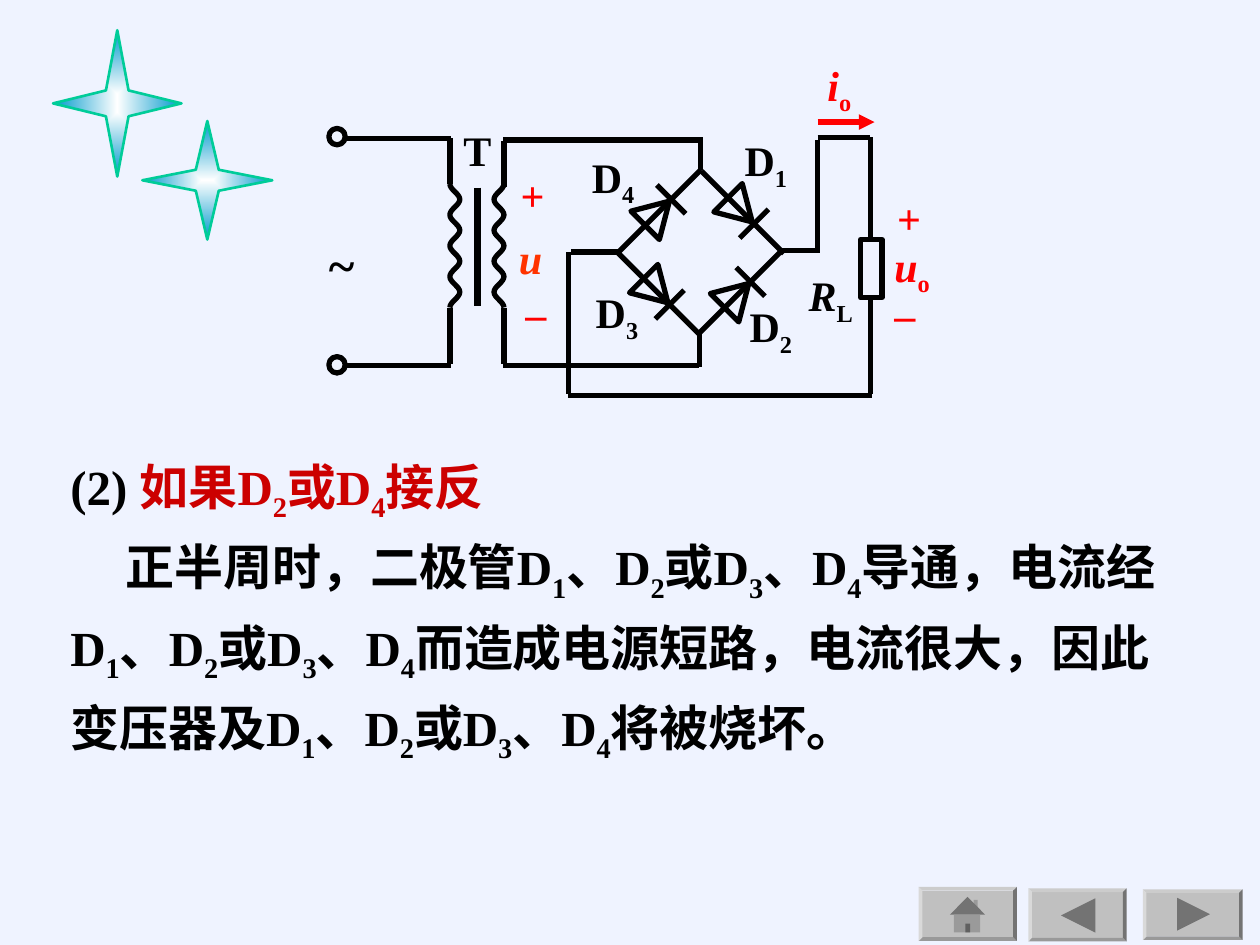
from dataclasses import dataclass
from math import cos, pi

from lxml.etree import SubElement
from pptx import Presentation
from pptx.dml.color import RGBColor
from pptx.enum.lang import MSO_LANGUAGE_ID as Language
from pptx.enum.shapes import MSO_CONNECTOR as Connector, MSO_SHAPE as Shape
from pptx.enum.text import MSO_ANCHOR as Anchor, MSO_AUTO_SIZE as AutoSize, PP_ALIGN as Align
from pptx.oxml.ns import qn
from pptx.util import Cm, Pt


@dataclass(frozen=True)
class Theme:
    font: str = "Times New Roman"
    body: int = 28
    label: int = 24
    wire: float = 3
    core: float = 4
    outline: float = 1.5
    black: str = "000000"
    red: str = "FF0000"
    orange: str = "FF3300"
    heading: str = "CC0000"
    tint: str = "3366FF"
    star: str = "0099CC"
    star_center: str = "FFFFFF"
    star_line: str = "00CC99"
    button: str = "C0C0C0"
    icon: str = "737373"
    icon_light: str = "9A9A9A"
    icon_dark: str = "606060"


theme = Theme()
presentation = Presentation()
presentation.slide_width, presentation.slide_height = Cm(25.4), Cm(19.05)
slide = presentation.slides.add_slide(presentation.slide_layouts[6])
shapes = slide.shapes


def write_text(paragraph, text, *, color=theme.black, size=theme.label, italic=False):
    """Append text; the character after each underscore is an upright subscript."""
    first, *others = text.split("_")
    pieces = [(first, False)]
    for part in others:
        pieces += [(part[0], True), (part[1:], False)]
    for piece, subscript in pieces:
        if not piece:
            continue
        run = paragraph.add_run()
        run.text = piece
        font = run.font
        font.name, font.size, font.bold = theme.font, Pt(size), True
        font.italic = italic and not subscript
        font.color.rgb = RGBColor.from_string(color)
        font.language_id = Language.SIMPLIFIED_CHINESE
        if subscript:
            run._r.get_or_add_rPr().set("baseline", "-25000")


def draw_shape(kind, left, top, width, height, fill=None, line=None, weight=theme.wire, rotation=0):
    shape = shapes.add_shape(kind, Cm(left), Cm(top), Cm(width), Cm(height))
    shape.shadow.inherit = False
    shape.rotation = rotation
    if fill:
        shape.fill.solid()
        shape.fill.fore_color.rgb = RGBColor.from_string(fill)
    else:
        shape.fill.background()
    if line:
        shape.line.color.rgb = RGBColor.from_string(line)
        shape.line.width = Pt(weight)
    else:
        shape.line.fill.background()
    return shape


# Pale background tint
tint = draw_shape(Shape.RECTANGLE, 0, 0, 25.4, 19.05, fill=theme.tint)
tint_color = tint.element.spPr.find(qn("a:solidFill"))[0]
SubElement(tint_color, qn("a:alpha")).set("val", "8000")

# Navigation buttons: home, back, next
for left, top, width, height in [
    (18.52, 17.88, 1.98, 1.09),
    (20.73, 17.91, 1.98, 1.07),
    (23.04, 17.93, 2.01, 1.02),
]:
    button = draw_shape(Shape.BEVEL, left, top, width, height, fill=theme.button)
    button.adjustments[0] = 0.07
for kind, left, top, width, height, color, rotation in [
    (Shape.RECTANGLE, 19.63, 18.14, 0.08, 0.25, theme.icon_light, 0),
    (Shape.ISOSCELES_TRIANGLE, 19.15, 18.08, 0.71, 0.36, theme.icon, 0),
    (Shape.RECTANGLE, 19.23, 18.44, 0.53, 0.36, theme.icon_light, 0),
    (Shape.RECTANGLE, 19.46, 18.62, 0.1, 0.18, theme.icon_dark, 0),
    (Shape.ISOSCELES_TRIANGLE, 21.39, 18.11, 0.69, 0.69, theme.icon, 270),
    (Shape.ISOSCELES_TRIANGLE, 23.73, 18.1, 0.66, 0.66, theme.icon, 90),
]:
    draw_shape(kind, left, top, width, height, fill=color, rotation=rotation)

# Explanation
box = shapes.add_textbox(Cm(1.17), Cm(8.81), Cm(22.91), Cm(6.73))
frame = box.text_frame
frame.word_wrap, frame.vertical_anchor = True, Anchor.MIDDLE
frame.auto_size = AutoSize.SHAPE_TO_FIT_TEXT
heading, body = frame.paragraphs[0], frame.add_paragraph()
heading.line_spacing = body.line_spacing = 1.2
write_text(heading, "(2) ", size=theme.body)
write_text(heading, "如果D_2或D_4接反", color=theme.heading, size=theme.body)
body._p.get_or_add_pPr().set("indent", str(Cm(1.11)))
pairs = "D_1、D_2或D_3、D_4"
write_text(
    body,
    f"正半周时，二极管{pairs}导通，电流经{pairs}而造成电源短路，"
    f"电流很大，因此变压器及{pairs}将被烧坏。",
    size=theme.body,
)

# Stars with a gradient from a white centre
for left, top, width, height in [(2.87, 2.44, 2.62, 2.39), (1.07, 0.61, 2.59, 2.95)]:
    star = draw_shape(Shape.STAR_4_POINT, left, top, width, height,
                      line=theme.star_line, weight=theme.outline)
    star.adjustments[0] = 0.125
    star.fill.gradient()
    for stop, color in zip(star.fill.gradient_stops, (theme.star_center, theme.star)):
        stop.color.rgb = RGBColor.from_string(color)
    gradient = star.element.spPr.find(qn("a:gradFill"))
    gradient.remove(gradient.find(qn("a:lin")))
    shade = SubElement(gradient, qn("a:path"))
    shade.set("path", "rect")
    focus = SubElement(shade, qn("a:fillToRect"))
    for side in "ltrb":
        focus.set(side, "50000")

# Transformer windings: four waves each, bulging towards the core
for left, bulge in [(9.07, 0.2), (10.16, -0.2)]:
    points = [
        (Cm(left + bulge * (1 - cos(8 * pi * step / 64)) / 2), Cm(3.71 + 2.49 * step / 64))
        for step in range(65)
    ]
    builder = shapes.build_freeform(*points[0])
    builder.add_line_segments(points[1:], close=False)
    winding = builder.convert_to_shape()
    winding.shadow.inherit = False
    winding.fill.background()
    winding.line.color.rgb = RGBColor.from_string(theme.black)
    winding.line.width = Pt(theme.wire)

# Terminals and load resistor
for top in (2.59, 7.19):
    draw_shape(Shape.OVAL, 6.63, top, 0.33, 0.33, line=theme.black)
draw_shape(Shape.RECTANGLE, 17.35, 4.83, 0.43, 1.17, line=theme.black)

# Wires: primary, secondary, then the load loop
wires = [
    (6.99, 2.79, 9.09, 2.79), (9.07, 2.79, 9.07, 3.71),
    (9.07, 6.2, 9.07, 7.34), (6.99, 7.37, 9.09, 7.37),
    (14.17, 2.82, 10.13, 2.82), (10.16, 2.84, 10.16, 3.76), (14.12, 3.43, 14.12, 2.87),
    (10.16, 6.2, 10.16, 7.34), (10.13, 7.37, 14.1, 7.37), (14.1, 6.73, 14.1, 7.39),
    (15.75, 5.05, 16.54, 5.05), (16.48, 5.03, 16.48, 2.82), (16.48, 2.77, 17.53, 2.77),
    (17.55, 2.77, 17.55, 4.78), (17.55, 5.99, 17.55, 7.95), (11.46, 7.98, 17.58, 7.98),
    (11.46, 5.08, 11.46, 7.95), (12.45, 5.08, 11.51, 5.08),
]

# Bridge diodes D1 to D4: centre of the branch, slope 1 falls and -1 rises
for x, y, slope in [(14.97, 4.28, 1), (14.9, 5.91, -1), (13.27, 5.91, 1), (13.3, 4.25, -1)]:
    draw_shape(Shape.ISOSCELES_TRIANGLE, x - 0.05 - 0.405, y - 0.05 * slope - 0.345, 0.81, 0.69,
               line=theme.black, rotation=90 + 45 * slope)
    bar_x, bar_y = x + 0.23, y + 0.23 * slope
    wires += [
        (x - 0.83, y - 0.83 * slope, x + 0.83, y + 0.83 * slope),
        (bar_x - 0.29, bar_y + 0.29 * slope, bar_x + 0.29, bar_y - 0.29 * slope),
    ]

# All straight lines, with the transformer core and the current arrow
lines = [(wire, theme.black, theme.wire, False) for wire in wires]
lines.append(((9.63, 3.78, 9.63, 6.17), theme.black, theme.core, False))
lines.append(((16.48, 2.46, 17.63, 2.46), theme.red, theme.wire, True))
for ends, color, weight, arrow in lines:
    connector = shapes.add_connector(Connector.STRAIGHT, *map(Cm, ends))
    connector.line.color.rgb = RGBColor.from_string(color)
    connector.line.width = Pt(weight)
    properties = connector.element.spPr
    if arrow:
        SubElement(properties.find(qn("a:ln")), qn("a:tailEnd")).set("type", "triangle")
    SubElement(properties, qn("a:effectLst"))

# Circuit labels
italic_red = dict(color=theme.red, italic=True)
for text, left, top, width, height, style in [
    ("T", 9.09, 2.39, 1.07, 1.27, {}),
    ("u", 10.21, 4.57, 1.3, 1.27, dict(color=theme.orange, italic=True)),
    ("u_o", 17.78, 4.72, 1.52, 1.42, italic_red),
    ("i_o", 16.43, 1.07, 1.52, 1.42, italic_red),
    ("R_L", 16.05, 5.31, 1.5, 1.42, dict(italic=True)),
    ("~", 6.38, 4.6, 1.57, 1.45, dict(size=theme.body)),
    ("D_1", 14.76, 2.59, 1.52, 1.42, {}),
    ("D_2", 14.86, 5.94, 1.52, 1.42, {}),
    ("D_3", 11.76, 5.66, 1.52, 1.42, {}),
    ("D_4", 11.68, 2.92, 1.52, 1.42, {}),
    ("+", 10.24, 3.3, 0.99, 1.27, dict(color=theme.red)),
    ("+", 17.83, 3.76, 0.99, 1.27, dict(color=theme.red)),
    ("–", 10.34, 5.66, 0.91, 1.27, dict(color=theme.red)),
    ("–", 17.78, 5.69, 0.91, 1.27, dict(color=theme.red)),
]:
    box = shapes.add_textbox(Cm(left), Cm(top), Cm(width), Cm(height))
    frame = box.text_frame
    frame.auto_size = AutoSize.SHAPE_TO_FIT_TEXT
    frame.word_wrap = text not in "T+–"
    if text in "+–":
        frame.vertical_anchor = Anchor.MIDDLE
        frame.paragraphs[0].alignment = Align.CENTER
    write_text(frame.paragraphs[0], text, **style)

presentation.save("out.pptx")
